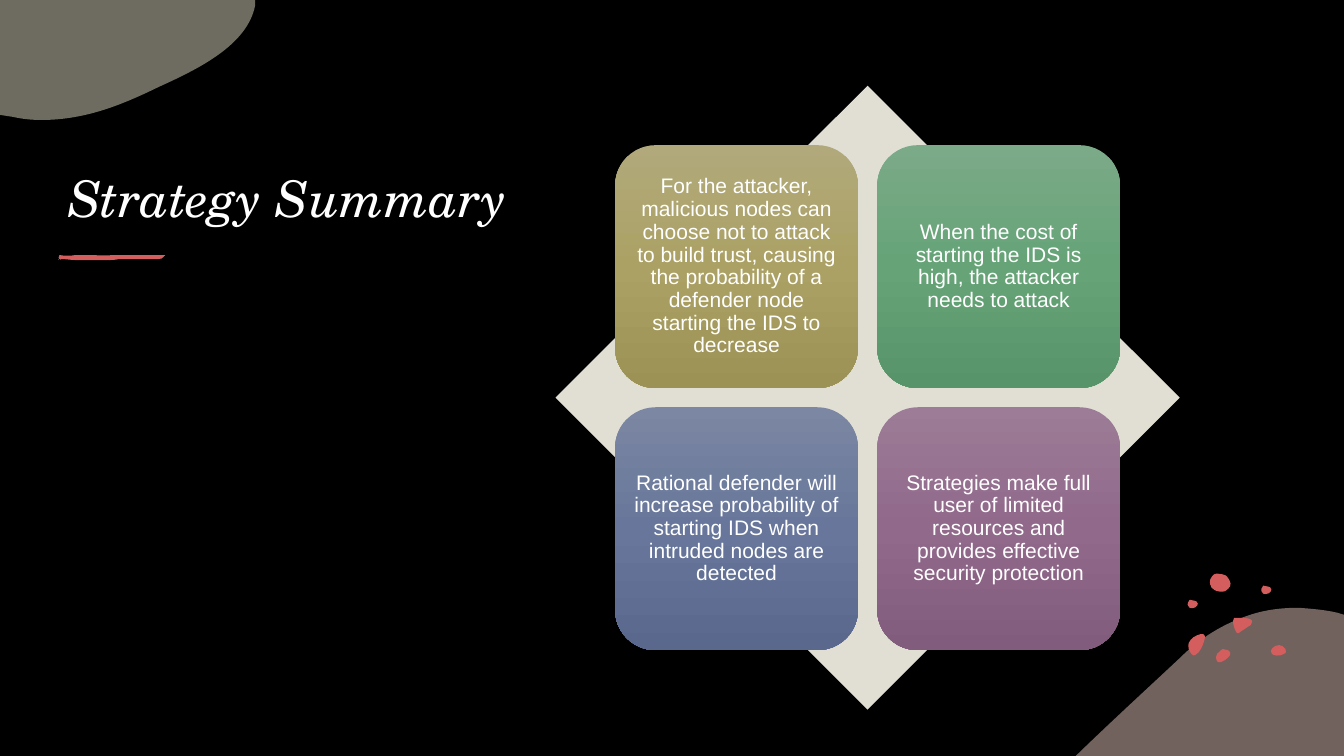
import copy
import pptx
import pptx.dml.color
import pptx.enum.shapes
import pptx.enum.text
import pptx.oxml
import pptx.oxml.ns
import pptx.util

Inches = pptx.util.Inches
qn = pptx.oxml.ns.qn

COLORS = {
    "background": "000000", "text": "FFFFFF", "accent": "D45E5E",
    "top_blob": "DCD9C3", "bottom_blob": "E5C4BA", "diamond": "E1DFD4",
}

STRATEGIES = [
    ("For the attacker, malicious nodes can choose not to attack to build trust, "
     "causing the probability of a defender node starting the IDS to decrease",
     ("B1A97B", "ABA165", "9C9256")),
    ("When the cost of starting the IDS is high, the attacker needs to attack",
     ("7BAA88", "66A377", "579469")),
    ("Rational defender will increase probability of starting IDS when intruded "
     "nodes are detected",
     ("7C87A3", "67769A", "59688C")),
    ("Strategies make full user of limited resources and provides effective "
     "security protection",
     ("9C7C97", "91698B", "825C7D")),
]

TOP_BLOB = [(2.53, 0.06), (2.45, 0.44), (2, 0.67), (1.58, 0.86), (1.23, 1.03),
            (0.86, 1.19), (0.41, 1.19), (0.31, 1.19), (0.22, 1.18), (0.13, 1.16)]
TOP_CORNERS = [(0, 1.14), (0, 0), (2.53, 0)]

BOTTOM_BLOB = [(10.68, 7.49), (11.02, 7.16), (11.37, 6.84), (11.69, 6.54),
               (11.91, 6.32), (12.14, 6.19), (12.37, 6.11), (12.54, 6.05),
               (12.71, 6.03), (12.88, 6.03), (13.01, 6.04), (13.14, 6.05),
               (13.27, 6.08)]
BOTTOM_CORNERS = [(13.33, 6.1), (13.33, 7.5), (10.67, 7.5)]

SMALL_DOT = [(0, 0.05), (0, 0.05), (0, 0.01), (0.02, 0), (0.04, 0), (0.05, 0),
             (0.07, 0.01), (0.08, 0.01), (0.1, 0.02), (0.1, 0.04), (0.1, 0.05),
             (0.09, 0.07), (0.08, 0.07), (0.08, 0.07), (0.08, 0.08), (0.06, 0.08),
             (0.05, 0.08), (0.03, 0.09), (0.02, 0.08), (0.01, 0.06), (0, 0.06),
             (0, 0.05)]
SMALL_DOT_PLACES = [(12.51, 5.81), (11.78, 5.95)]

DOTS = [
    [(12.13, 6.44), (12.15, 6.44), (12.16, 6.44), (12.18, 6.45), (12.2, 6.46),
     (12.21, 6.48), (12.2, 6.5), (12.18, 6.53), (12.12, 6.58), (12.08, 6.57),
     (12.07, 6.56), (12.06, 6.54), (12.06, 6.52), (12.06, 6.5), (12.08, 6.47),
     (12.1, 6.46), (12.11, 6.45), (12.12, 6.44), (12.13, 6.44)],
    [(11.91, 6.29), (11.93, 6.29), (11.95, 6.29), (11.95, 6.31), (11.95, 6.32),
     (11.95, 6.32), (11.95, 6.33), (11.94, 6.38), (11.92, 6.43), (11.89, 6.47),
     (11.87, 6.49), (11.84, 6.52), (11.82, 6.49), (11.79, 6.46), (11.78, 6.41),
     (11.79, 6.38), (11.8, 6.35), (11.82, 6.34), (11.84, 6.32), (11.85, 6.32),
     (11.88, 6.29), (11.91, 6.29)],
    [(12.69, 6.4), (12.71, 6.4), (12.74, 6.42), (12.75, 6.44), (12.76, 6.46),
     (12.76, 6.48), (12.73, 6.49), (12.7, 6.51), (12.62, 6.51), (12.61, 6.48),
     (12.6, 6.46), (12.61, 6.44), (12.62, 6.43), (12.64, 6.41), (12.66, 6.4),
     (12.69, 6.4)],
    [(12.01, 5.81), (12, 5.81), (11.99, 5.75), (12.02, 5.72), (12.04, 5.7),
     (12.04, 5.69), (12.07, 5.69), (12.1, 5.69), (12.14, 5.7), (12.16, 5.71),
     (12.18, 5.73), (12.22, 5.78), (12.2, 5.82), (12.17, 5.85), (12.16, 5.87),
     (12.12, 5.87), (12.09, 5.87), (12.04, 5.86), (12.03, 5.84), (12.01, 5.83),
     (12.01, 5.82), (12.01, 5.81)],
    [(12.28, 6.13), (12.34, 6.13), (12.45, 6.13), (12.41, 6.19), (12.41, 6.2),
     (12.4, 6.21), (12.39, 6.21), (12.36, 6.23), (12.33, 6.25), (12.3, 6.27),
     (12.29, 6.28), (12.28, 6.29), (12.27, 6.28), (12.27, 6.28), (12.26, 6.27),
     (12.26, 6.27), (12.24, 6.23), (12.23, 6.2), (12.23, 6.16), (12.23, 6.15),
     (12.23, 6.14), (12.24, 6.13)],
]

STROKE = [(1.57, 2.57), (1.63, 2.57), (1.61, 2.54), (1.64, 2.53), (1.61, 2.53),
          (1.59, 2.53), (1.57, 2.53), (1.51, 2.53), (1.38, 2.53), (1.33, 2.53),
          (1.27, 2.53), (1.17, 2.53), (1.11, 2.53), (1.06, 2.54), (0.94, 2.53),
          (0.88, 2.53), (0.84, 2.53), (0.79, 2.53), (0.75, 2.53), (0.7, 2.54),
          (0.64, 2.54), (0.59, 2.53), (0.58, 2.54), (0.57, 2.58), (0.61, 2.57),
          (0.65, 2.57), (0.71, 2.58), (0.75, 2.58), (0.79, 2.58), (0.86, 2.58),
          (0.9, 2.58), (0.95, 2.58), (1.05, 2.58), (1.07, 2.58), (1.1, 2.58),
          (1.14, 2.58), (1.18, 2.57), (1.3, 2.57), (1.45, 2.57), (1.57, 2.57)]
STROKE_FLECKS = [(0.58, 2.57), (0.6, 2.57), (1.63, 2.53)]
FLECK = [(0, 0), (0.01, 0), (0.01, 0.01), (0, 0.01)]


def rgb(color):
    return pptx.dml.color.RGBColor.from_string(color)


def paint(shape, color, alpha=None):
    shape.shadow.inherit = False
    shape.line.fill.background()
    shape.fill.solid()
    shape.fill.fore_color.rgb = rgb(color)
    if alpha is not None:
        tone = shape._element.spPr.find(".//" + qn("a:srgbClr"))
        tone.append(pptx.oxml.parse_xml(
            f'<a:alpha {pptx.oxml.ns.nsdecls("a")} val="{alpha * 1000}"/>'))


def paint_gradient(shape, colors):
    shape.shadow.inherit = False
    shape.line.fill.background()
    shape.fill.gradient()
    shape.fill.gradient_angle = 270
    first = shape._element.spPr.find(".//" + qn("a:gs"))
    first.addnext(copy.deepcopy(first))
    for stop, position, color in zip(shape.fill.gradient_stops, (0, 0.5, 1), colors):
        stop.position = position
        stop.color.rgb = rgb(color)


def add_outline(slide, curve, color, corners=(), alpha=None):
    points = [(Inches(x), Inches(y)) for x, y in [*curve, *corners]]
    builder = slide.shapes.build_freeform(*points[0], scale=1.0)
    builder.add_line_segments(points[1:], close=True)
    shape = builder.convert_to_shape()
    segments = shape._element.findall(".//" + qn("a:lnTo"))[:len(curve) - 1]
    for i in range(0, len(segments), 3):
        bend = pptx.oxml.parse_xml(f'<a:cubicBezTo {pptx.oxml.ns.nsdecls("a")}/>')
        segments[i].addprevious(bend)
        for segment in segments[i:i + 3]:
            bend.append(segment[0])
            segment.getparent().remove(segment)
    paint(shape, color, alpha)


def shifted(points, place):
    return [(place[0] + x, place[1] + y) for x, y in points]


def write(shape, text, *, font, size, anchor, align, italic=False,
          spacing=None, margin=None):
    frame = shape.text_frame
    frame.word_wrap = True
    frame.auto_size = pptx.enum.text.MSO_AUTO_SIZE.NONE
    frame.vertical_anchor = anchor
    if margin is not None:
        frame.margin_left = frame.margin_right = Inches(margin)
        frame.margin_top = frame.margin_bottom = Inches(margin)
    paragraph = frame.paragraphs[0]
    paragraph.alignment = align
    paragraph.line_spacing = spacing
    run = paragraph.add_run()
    run.text = text
    run.font.name = font
    run.font.size = pptx.util.Pt(size)
    run.font.italic = italic
    run.font.color.rgb = rgb(COLORS["text"])


def add_decoration(slide):
    add_outline(slide, BOTTOM_BLOB, COLORS["bottom_blob"], BOTTOM_CORNERS, alpha=50)
    for dot in DOTS + [shifted(SMALL_DOT, place) for place in SMALL_DOT_PLACES]:
        add_outline(slide, dot, COLORS["accent"])
    add_outline(slide, TOP_BLOB, COLORS["top_blob"], TOP_CORNERS, alpha=50)
    for place in STROKE_FLECKS:
        add_outline(slide, shifted(FLECK, place), COLORS["accent"])
    add_outline(slide, STROKE, COLORS["accent"])


def add_title(slide, text):
    title = slide.shapes.title
    title.left, title.top = Inches(0.575), Inches(0.86)
    title.width, title.height = Inches(11.02), Inches(1.45)
    write(title, text, font="TeX Gyre Schola", size=36, italic=True,
          anchor=pptx.enum.text.MSO_ANCHOR.BOTTOM, align=pptx.enum.text.PP_ALIGN.LEFT)


def add_matrix(slide, left=5.51, top=0.85, side=6.19, inset=0.59, tile=2.41, pitch=2.6):
    kinds = pptx.enum.shapes.MSO_SHAPE
    diamond = slide.shapes.add_shape(
        kinds.DIAMOND, Inches(left), Inches(top), Inches(side), Inches(side))
    paint(diamond, COLORS["diamond"])
    for index, (text, colors) in enumerate(STRATEGIES):
        row, column = divmod(index, 2)
        strategy = slide.shapes.add_shape(
            kinds.ROUNDED_RECTANGLE, Inches(left + inset + column * pitch),
            Inches(top + inset + row * pitch), Inches(tile), Inches(tile))
        paint_gradient(strategy, colors)
        write(strategy, text, font="Arial", size=15, spacing=0.9, margin=0.06,
              anchor=pptx.enum.text.MSO_ANCHOR.MIDDLE,
              align=pptx.enum.text.PP_ALIGN.CENTER)


def main():
    deck = pptx.Presentation()
    deck.slide_width, deck.slide_height = Inches(13.33), Inches(7.5)
    slide = deck.slides.add_slide(deck.slide_layouts[5])
    slide.background.fill.solid()
    slide.background.fill.fore_color.rgb = rgb(COLORS["background"])
    add_decoration(slide)
    add_title(slide, "Strategy Summary")
    add_matrix(slide)
    deck.save("out.pptx")


main()
